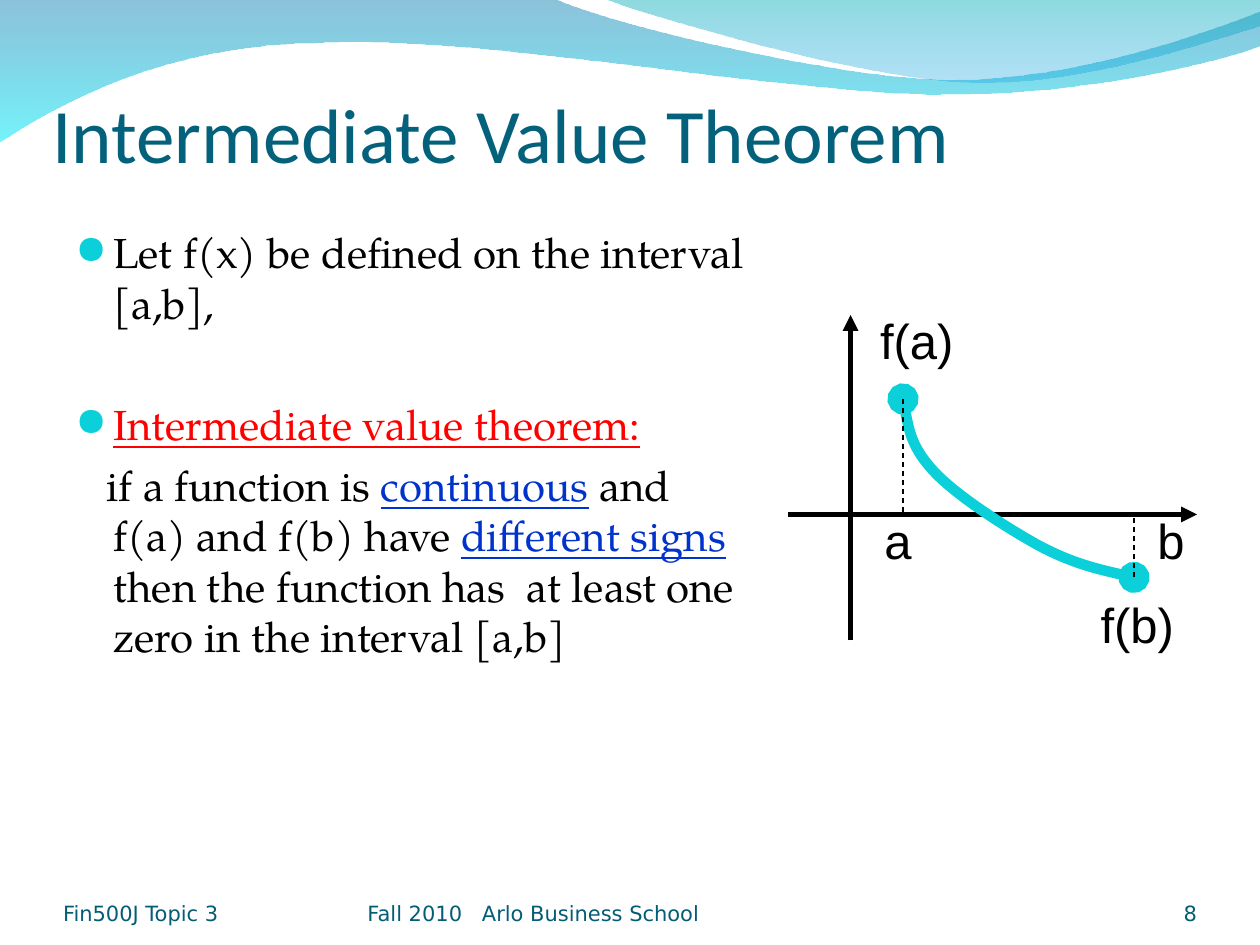
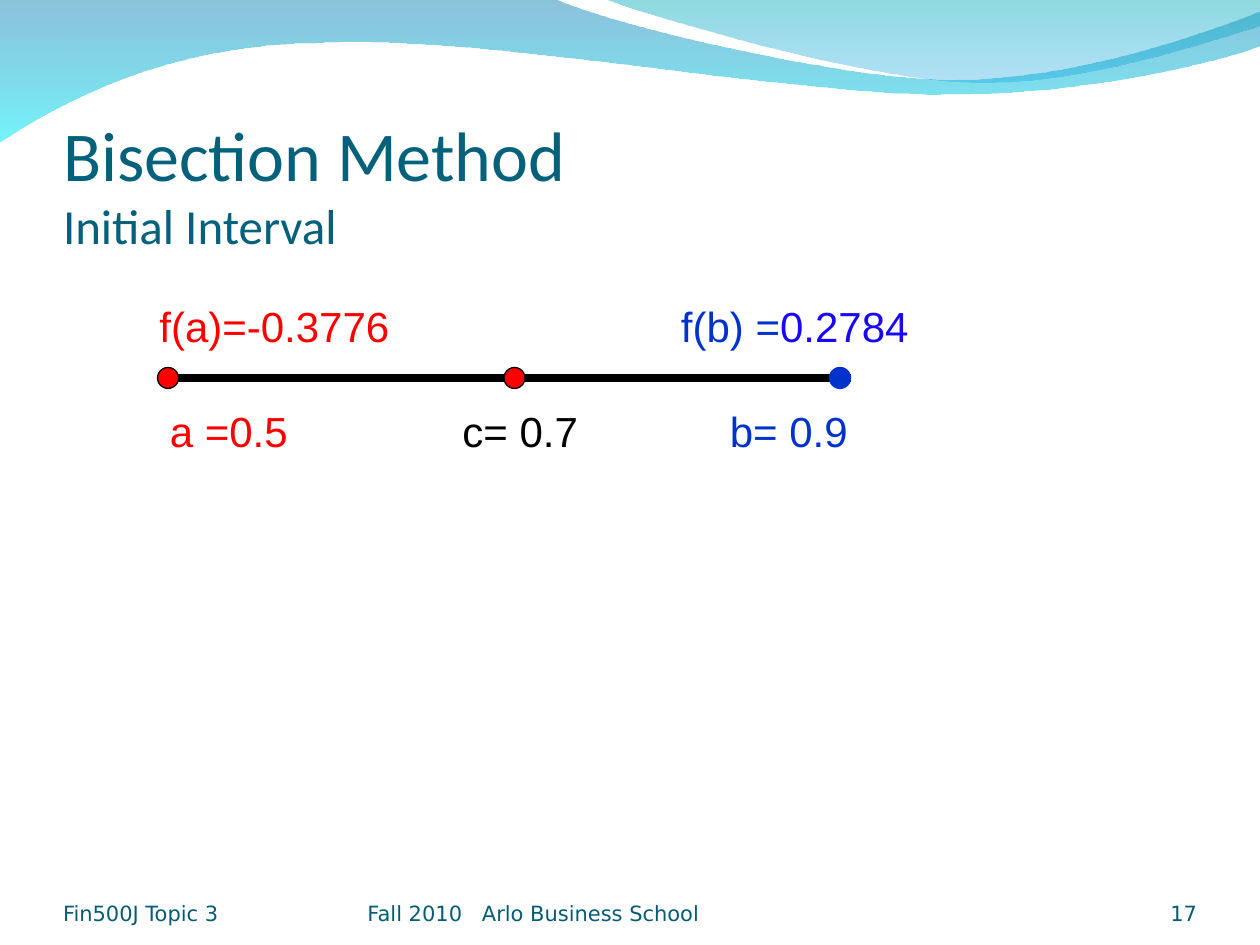
from lxml import etree
from pptx import Presentation
from pptx.dml.color import RGBColor
from pptx.enum.dml import MSO_LINE
from pptx.enum.shapes import MSO_CONNECTOR, MSO_SHAPE
from pptx.enum.text import MSO_ANCHOR, MSO_AUTO_SIZE, PP_ALIGN
from pptx.oxml.ns import qn
from pptx.util import Pt

LEFT, RIGHT = PP_ALIGN.LEFT, PP_ALIGN.RIGHT
TOP, BOTTOM = MSO_ANCHOR.TOP, MSO_ANCHOR.BOTTOM
STRAIGHT, OVAL, DASH = MSO_CONNECTOR.STRAIGHT, MSO_SHAPE.OVAL, MSO_LINE.DASH

C = dict(title="04617B", footer="045C75", black="000000", red="FF0000",
         blue="0033CC", violet="1908F8", cyan="0BD0D9")
TITLE_FONT, BODY_FONT, LABEL_FONT, FOOTER_FONT, BULLET_FONT = (
    "Calibri", "TeX Gyre Pagella", "Arial", "DejaVu Sans", "OpenSymbol")

# Shared content. Outline steps: 2 numbers are a line, 6 are a Bézier curve.
BANDS = [
    dict(steps=[(0, -0.7), (316.8, -0.7),
                (342.7, 12.2, 478.1, 45.4, 545.8, 45.4),
                (614.2, 45.4, 689.8, 18.7, 720, 6.5), (720.7, 25.9),
                (707.8, 31.7, 626.4, 54.7, 537.1, 54),
                (447.8, 54, 275, 20.2, 185, 24.5),
                (92.9, 25.2, 33.1, 59.8, -0.7, 81.4), (0, -0.7)],
         stops=[("0079AF", 45), ("00EBF8", 55)]),
    dict(steps=[(344.9, -0.7), (366.5, 7.9, 491, 44.6, 553.7, 46.8),
                (616.3, 49.7, 691.9, 23, 720, 15.1), (720, 0), (344.9, -0.7)],
         stops=[("00ADB6", 45), ("009BE5", 30)]),
]
# Footer parts: paragraph, left, width
FOOTERS = [(dict(runs=[("Fin500J Topic 3", {})]), 36, 168),
           (dict(tabs=[65.4], runs=[("Fall 2010\tArlo Business School", {})]), 210, 264)]

# Theorem slide: paragraphs of runs, then the graph
THEOREM = [
    dict(bullet=True, runs=[("Let f(x) be defined on the interval [a,b],", {})]),
    dict(bullet=True, before=40.5,
         runs=[("Intermediate value theorem:", dict(color="red", underline=True))]),
    dict(indent=-3.8, before=6, runs=[
        ("if a function is ", {}),
        ("continuous", dict(color="blue", underline=True)),
        (" and f(a) and f(b) have ", {}),
        ("different signs", dict(color="blue", underline=True)),
        (" then the function has  at least one zero in the interval [a,b]", {})]),
]
AXIS_Y = 294
AXES = [(450, AXIS_Y, 684, AXIS_Y), (486, 366, 486, 180)]
CURVE = [(516, 228), (518.4, 241.9, 521.3, 256.3, 534.2, 270),
         (547.2, 283.7, 575.3, 301.7, 594, 312),
         (612.7, 321.8, 630.7, 326.2, 648, 330)]
GRAPH_LABELS = [("a", 486, 288, 42), ("b", 642, 288, 42),
                ("f(a)", 486, 174, 66), ("f(b)", 612, 336, 66)]

# Bisection slide: label rows, half intervals, points (centre, fill, line)
LINE_Y, DOT = 216, 12
POINTS = dict(tabs=[167.2, 320], runs=[("a =0.5", dict(color="red")), ("\tc= 0.7", {}),
                                       ("\tb= 0.9", dict(color="blue"))])
VALUES = dict(tabs=[298], runs=[("f(a)=-0.3776", dict(color="red")),
                                ("\tf(b) =", dict(color="blue")),
                                ("0.2784", dict(color="violet"))])
LABEL_ROWS = [(POINTS, (90, 228, 438, 36)), (VALUES, (84, 168, 516, 36))]
HALVES = [(294, 486), (96, 288)]
DOTS = [(480, "blue", "blue"), (294, "red", "black"), (96, "red", "black")]


def rgb(name):
    return RGBColor.from_string(C.get(name, name))


def sub(parent, tag, **attrs):
    return etree.SubElement(parent, qn(tag), attrs)


def format_paragraph(p, item, align):
    p.alignment, p.space_before = align, Pt(item.get("before", 0))
    pPr = p._p.get_or_add_pPr()
    indent = -21.6 if item.get("bullet") else item.get("indent")
    if indent:
        pPr.set("marL", str(Pt(21.6)))
        pPr.set("indent", str(Pt(indent)))
    if item.get("bullet"):
        sub(sub(pPr, "a:buClr"), "a:srgbClr", val=C["cyan"])
        sub(pPr, "a:buSzPct", val="95000")
        sub(pPr, "a:buFont", typeface=BULLET_FONT)
        sub(pPr, "a:buChar", char="●")
    if item.get("tabs"):
        tabs = sub(pPr, "a:tabLst")
        for pos in item["tabs"]:
            sub(tabs, "a:tab", pos=str(Pt(pos)), algn="l")


def put_text(s, paragraphs, box, shape=None, font=LABEL_FONT, size=24, color="black",
             align=LEFT, anchor=TOP, insets=(7.2, 3.6, 7.2, 3.6)):
    """Write a string, or a list of paragraph dicts, into a text box or placeholder."""
    if isinstance(paragraphs, str):
        paragraphs = [dict(runs=[(paragraphs, {})])]
    x, y, w, h = (Pt(v) for v in box)
    sp = shape or s.shapes.add_textbox(x, y, w, h)
    sp.left, sp.top, sp.width, sp.height = x, y, w, h
    tf = sp.text_frame
    tf.word_wrap, tf.auto_size, tf.vertical_anchor = True, MSO_AUTO_SIZE.NONE, anchor
    tf.margin_left, tf.margin_top, tf.margin_right, tf.margin_bottom = map(Pt, insets)
    for i, item in enumerate(paragraphs):
        p = tf.add_paragraph() if i else tf.paragraphs[0]
        format_paragraph(p, item, align)
        for text, fmt in item["runs"]:
            if fmt.get("new_line"):
                p.add_line_break()
            r = p.add_run()
            r.text = text
            r.font.name, r.font.size = font, Pt(fmt.get("size", size))
            r.font.color.rgb = rgb(fmt.get("color", color))
            r.font.underline = fmt.get("underline", False)


def outline(s, steps, close):
    """Draw a freeform through every point, then join each curve's three points."""
    pts = [(Pt(st[i]), Pt(st[i + 1])) for st in steps for i in range(0, len(st), 2)]
    builder = s.shapes.build_freeform(*pts[0])
    builder.add_line_segments(pts[1:], close=close)
    sp = builder.convert_to_shape()
    sp.shadow.inherit = False
    segments = iter(list(sp._element.spPr.iter(qn("a:lnTo"))))
    for step in steps[1:]:
        first = next(segments)
        if len(step) == 6:
            first.tag = qn("a:cubicBezTo")
            for _ in range(2):
                segment = next(segments)
                first.append(segment[0])
                segment.getparent().remove(segment)
    return sp


def style_line(sp, color, width, dash=None, head=None, tail=None):
    sp.line.color.rgb, sp.line.width = rgb(color), Pt(width)
    if dash:
        sp.line.dash_style = dash
    ln = sp._element.spPr.find(qn("a:ln"))
    for tag, kind in (("a:headEnd", head), ("a:tailEnd", tail)):
        if kind:
            sub(ln, tag, type=kind)


def add_line(s, ends, width, **fmt):
    cn = s.shapes.add_connector(STRAIGHT, *map(Pt, ends))
    style_line(cn, "black", width, **fmt)
    sub(cn._element.spPr, "a:effectLst")


def add_band(s, index, steps, stops):
    sp = outline(s, steps, close=True)
    sp.line.fill.background()
    sp.fill.gradient()
    sp.fill.gradient_angle = 270
    for stop, (color, _) in zip(sp.fill.gradient_stops, stops):
        stop.color.rgb = rgb(color)
    for clr, (_, alpha) in zip(sp._element.spPr.iter(qn("a:srgbClr")), stops):
        sub(clr, "a:alpha", val=str(alpha * 1000))
    s.shapes._spTree.insert(2 + index, sp._element)  # behind the title


def new_slide(prs, title_runs, title_box, title_size, number):
    s = prs.slides.add_slide(prs.slide_layouts[5])
    put_text(s, [dict(runs=title_runs)], title_box, shape=s.shapes.title,
             font=TITLE_FONT, size=title_size, color="title", anchor=BOTTOM,
             insets=(0, 3.6, 0, 0))
    for i, band in enumerate(BANDS):
        add_band(s, i, **band)
    footer = dict(font=FOOTER_FONT, size=12, color="footer", anchor=BOTTOM,
                  insets=(0, 0, 0, 0))
    for paragraph, left, width in FOOTERS:
        put_text(s, [paragraph], (left, 500.4, width, 28.8), **footer)
    put_text(s, str(number), (624, 500.4, 60, 28.8), align=RIGHT, **footer)
    return s


def theorem_slide(prs):
    s = new_slide(prs, [("Intermediate Value Theorem", {})], (30, 24, 648, 78), 44, 8)
    put_text(s, THEOREM, (36, 126, 398, 356), font=BODY_FONT)
    for axis in AXES:
        add_line(s, axis, 3, tail="triangle")
    curve = outline(s, CURVE, close=False)
    curve.fill.background()
    style_line(curve, "cyan", 6, head="oval", tail="oval")
    for x, y in (CURVE[0], CURVE[-1][4:]):
        add_line(s, (x, y, x, AXIS_Y), 0.75, dash=DASH)
    for text, x, y, w in GRAPH_LABELS:
        put_text(s, text, (x, y, w, 41), size=28, align=RIGHT)


def bisection_slide(prs):
    s = new_slide(prs, [("Bisection Method", {}),
                        ("Initial Interval", dict(size=28, new_line=True))],
                  (36, 55.4, 648, 90), 40, 17)
    for paragraph, box in LABEL_ROWS:
        put_text(s, [paragraph], box)
    for start, end in HALVES:
        add_line(s, (start, LINE_Y, end, LINE_Y), 4.5)
    for x, fill, line in DOTS:
        dot = s.shapes.add_shape(OVAL, Pt(x - DOT / 2), Pt(LINE_Y - DOT / 2),
                                 Pt(DOT), Pt(DOT))
        dot.shadow.inherit = False
        dot.fill.solid()
        dot.fill.fore_color.rgb = rgb(fill)
        style_line(dot, line, 0.75)


def main():
    prs = Presentation()
    prs.slide_width, prs.slide_height = Pt(720), Pt(540)
    theorem_slide(prs)
    bisection_slide(prs)
    prs.save("out.pptx")


if __name__ == "__main__":
    main()
